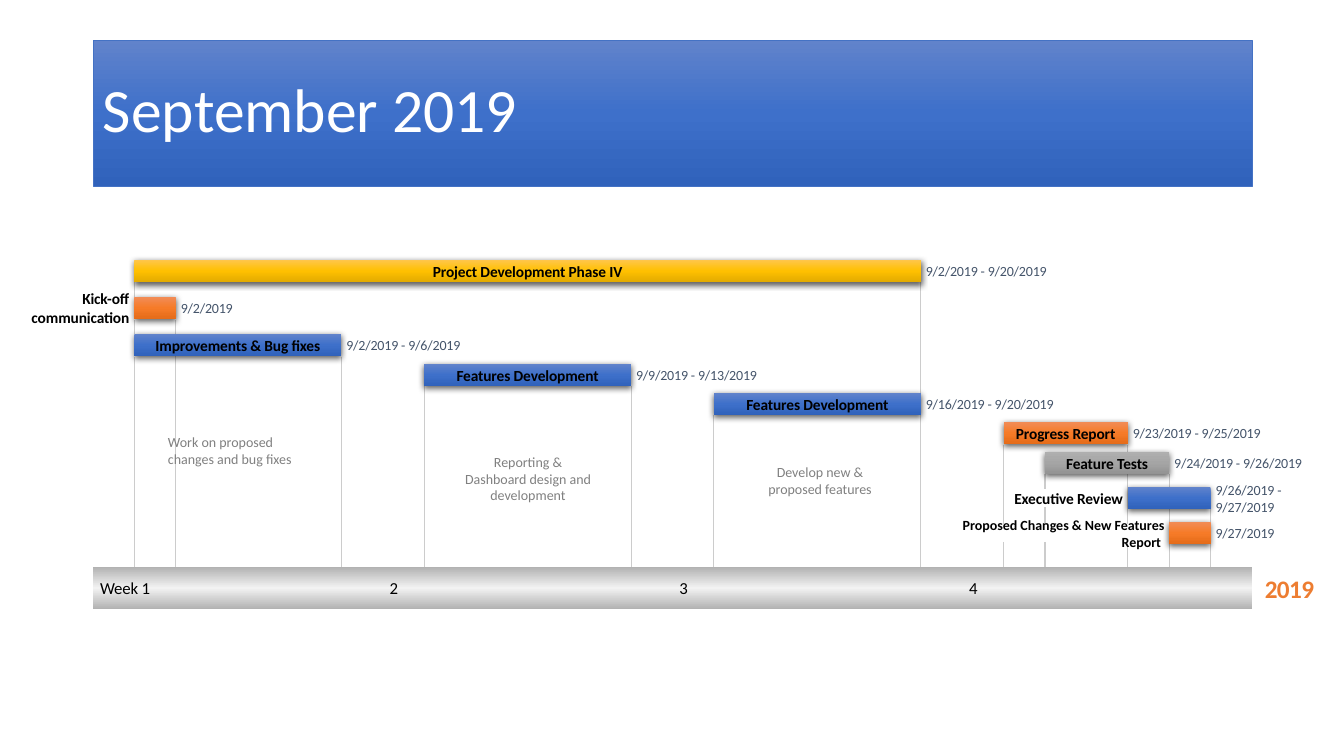
import copy

import pptx
import pptx.dml.color
import pptx.enum.shapes
import pptx.enum.text
import pptx.oxml
import pptx.oxml.ns
import pptx.util

EMU_PER_PX = 914400 / 100.8
ALIGN = pptx.enum.text.PP_ALIGN
ANCHOR = pptx.enum.text.MSO_ANCHOR
RECTANGLE = pptx.enum.shapes.MSO_SHAPE.RECTANGLE
STRAIGHT = pptx.enum.shapes.MSO_CONNECTOR.STRAIGHT

THEME = {
    "font": "Calibri",
    "guide": "CCCCCC",
    "title_border": "4472C4",
    "gradients": {
        "blue": ("6183CB", "3E70CA", "3062BB"),
        "gold": ("FFC64B", "FFC000", "E3AB00"),
        "orange": ("F18C57", "F67B28", "E56C19"),
        "grey": ("AFAFAF", "A5A5A5", "939393"),
        "axis": ("B2B2B2", "F2F2F2", "B2B2B2"),
    },
    # size in points, colour, bold, letter spacing in hundredths of a point
    "text": {
        "title": (44, "FFFFFF", False, 0),
        "year": (18, "ED7D31", True, -40),
        "week": (12, "000000", False, -10),
        "task": (11, "000000", True, -10),
        "small_task": (10, "000000", True, 0),
        "date": (10, "44546A", False, -10),
        "note": (10, "808080", False, 0),
    },
}

SHADOW = (
    f'<a:outerShdw {pptx.oxml.ns.nsdecls("a")} blurRad="57150" dist="19050" dir="5400000" '
    'algn="ctr" rotWithShape="0"><a:srgbClr val="000000"><a:alpha val="63000"/></a:srgbClr></a:outerShdw>'
)

AXIS_LEFT, AXIS_TOP, AXIS_WIDTH, AXIS_HEIGHT = 93, 567, 1159, 42
DAY_WIDTH = AXIS_WIDTH / 28
BAR_HEIGHT = 22
LABEL_GAP = 5

# day of September at whose start the guide stands, then its visible spans
GUIDES = [
    (28, [(544, AXIS_TOP), (509, 522)]),
    (27, [(509, AXIS_TOP), (474, 487)]),
    (24, [(542, AXIS_TOP), (507, 524), (474, 489)]),
    (26, [(542, AXIS_TOP), (472, 524), (445, 452)]),
    (23, [(542, AXIS_TOP), (445, 524)]),
    (16, [(415, AXIS_TOP)]),
    (14, [(386, AXIS_TOP)]),
    (9, [(386, AXIS_TOP)]),
    (7, [(357, AXIS_TOP)]),
    (3, [(355, AXIS_TOP), (320, 334)]),
    (21, [(415, AXIS_TOP), (282, 393)]),
    (2, [(357, AXIS_TOP), (320, 334), (282, 297)]),
]

# task, first day, last day, top, gradient, label (style, side, width, height), dates (text, width, height)
TASKS = [
    ("Project Development Phase IV", 2, 20, 260, "gold",
     ("task", "inside", 196, 19), ("9/2/2019 - 9/20/2019", 127, 17)),
    ("Kick-off communication", 2, 2, 297, "orange",
     ("task", "before", 101, 37), ("9/2/2019", 57, 17)),
    ("Improvements & Bug fixes", 2, 6, 334, "blue",
     ("task", "inside", 170, 19), ("9/2/2019 - 9/6/2019", 120, 17)),
    ("Features Development", 9, 13, 364, "blue",
     ("task", "inside", 148, 19), ("9/9/2019 - 9/13/2019", 127, 17)),
    ("Features Development", 16, 20, 393, "blue",
     ("task", "inside", 148, 19), ("9/16/2019 - 9/20/2019", 135, 17)),
    ("Progress Report", 23, 25, 422, "orange",
     ("task", "inside", 104, 19), ("9/23/2019 - 9/25/2019", 135, 17)),
    ("Feature Tests", 24, 26, 452, "grey",
     ("task", "inside", 86, 19), ("9/24/2019 - 9/26/2019", 135, 17)),
    ("Executive Review", 26, 27, 487, "blue",
     ("task", "before", 113, 19), ("9/26/2019 - 9/27/2019", 72, 34)),
    ("Proposed Changes & New Features Report ", 27, 27, 522, "orange",
     ("small_task", "before", 205, 34), ("9/27/2019", 63, 17)),
]

NOTES = [
    ("Work on proposed changes and bug fixes", 158, 428, 44, ALIGN.LEFT),
    ("Develop new & proposed features", 746, 458, 44, ALIGN.CENTER),
    ("Reporting & Dashboard design and development", 454, 448, 61, ALIGN.CENTER),
]

presentation = pptx.Presentation()
presentation.slide_width = round(1344 * EMU_PER_PX)
presentation.slide_height = round(756 * EMU_PER_PX)
slide = presentation.slides.add_slide(presentation.slide_layouts[6])
shapes = slide.shapes


def add_gradient_box(gradient, *place):
    """Add a borderless rectangle with a three-stop gradient running downwards."""
    box = shapes.add_shape(RECTANGLE, *[round(px * EMU_PER_PX) for px in place])
    box.shadow.inherit = False
    box.line.fill.background()
    box.fill.gradient()
    box.fill.gradient_angle = 270
    stops = box._element.spPr.find(".//" + pptx.oxml.ns.qn("a:gsLst"))
    stops.insert(1, copy.deepcopy(stops[0]))
    for index, (stop, colour) in enumerate(zip(box.fill.gradient_stops, THEME["gradients"][gradient])):
        stop.position = index / 2
        stop.color.rgb = pptx.dml.color.RGBColor.from_string(colour)
    return box


def add_text(text, style, place, align=ALIGN.LEFT, inset=(0, 0)):
    box = shapes.add_textbox(*[round(px * EMU_PER_PX) for px in place])
    frame = box.text_frame
    frame.word_wrap = True
    frame.vertical_anchor = ANCHOR.MIDDLE
    frame.margin_left = frame.margin_right = round(inset[0] * EMU_PER_PX)
    frame.margin_top = frame.margin_bottom = round(inset[1] * EMU_PER_PX)
    frame.text = text
    paragraph = frame.paragraphs[0]
    paragraph.alignment = align
    size, colour, bold, spacing = THEME["text"][style]
    font = paragraph.runs[0].font
    font.name = THEME["font"]
    font.size = pptx.util.Pt(size)
    font.bold = bold
    font.color.rgb = pptx.dml.color.RGBColor.from_string(colour)
    font._element.set("spc", str(spacing))
    return paragraph


title_place = (93, 40, 1159, 146)
banner = add_gradient_box("blue", *title_place)
banner.line.color.rgb = pptx.dml.color.RGBColor.from_string(THEME["title_border"])
banner.line.width = pptx.util.Pt(0.5)
title = add_text("September 2019", "title", title_place, inset=(10, 5))
title.line_spacing = 0.9

for day, spans in GUIDES:
    x = round((AXIS_LEFT + (day - 1) * DAY_WIDTH) * EMU_PER_PX)
    for top, bottom in spans:
        guide = shapes.add_connector(STRAIGHT, x, round(top * EMU_PER_PX), x, round(bottom * EMU_PER_PX))
        guide.line.color.rgb = pptx.dml.color.RGBColor.from_string(THEME["guide"])
        guide.line.width = pptx.util.Pt(0.75)
        guide._element.spPr.append(pptx.oxml.parse_xml(f'<a:effectLst {pptx.oxml.ns.nsdecls("a")}/>'))

add_text("2019", "year", (1264, 573, 51, 31), ALIGN.CENTER)
add_gradient_box("axis", AXIS_LEFT, AXIS_TOP, AXIS_WIDTH, AXIS_HEIGHT)
for week, (week_label, width) in enumerate([("Week 1", 54), ("2", 10), ("3", 10), ("4", 10)]):
    add_text(week_label, "week", (AXIS_LEFT + 7 + week * 7 * DAY_WIDTH, 578, width, 20))

for task, first, last, top, gradient, label, dates in TASKS:
    left = AXIS_LEFT + (first - 1) * DAY_WIDTH
    right = AXIS_LEFT + last * DAY_WIDTH
    middle = top + BAR_HEIGHT / 2
    bar = add_gradient_box(gradient, left, top, right - left, BAR_HEIGHT)
    bar._element.spPr.find(pptx.oxml.ns.qn("a:effectLst")).append(pptx.oxml.parse_xml(SHADOW))

    style, side, width, height = label
    if side == "inside":
        label_left, align = (left + right - width) / 2, ALIGN.CENTER
    else:
        label_left, align = left - LABEL_GAP - width, ALIGN.RIGHT
    add_text(task, style, (label_left, middle - height / 2, width, height), align)

    date_text, width, height = dates
    add_text(date_text, "date", (right + LABEL_GAP, middle - height / 2, width, height))

for note, left, top, height, align in NOTES:
    add_text(note, "note", (left, top, 148, height), align, inset=(10, 5))

presentation.save("out.pptx")
